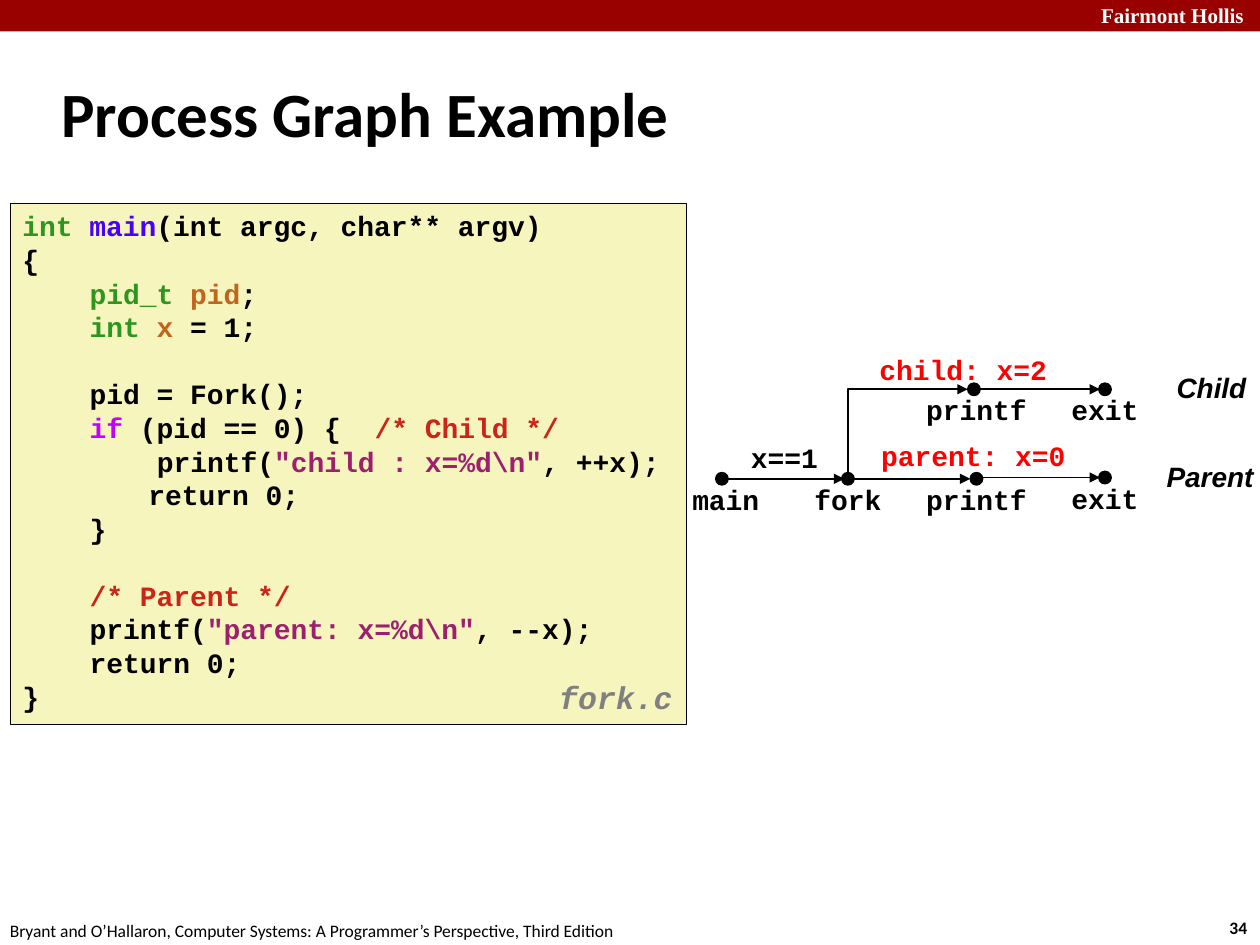
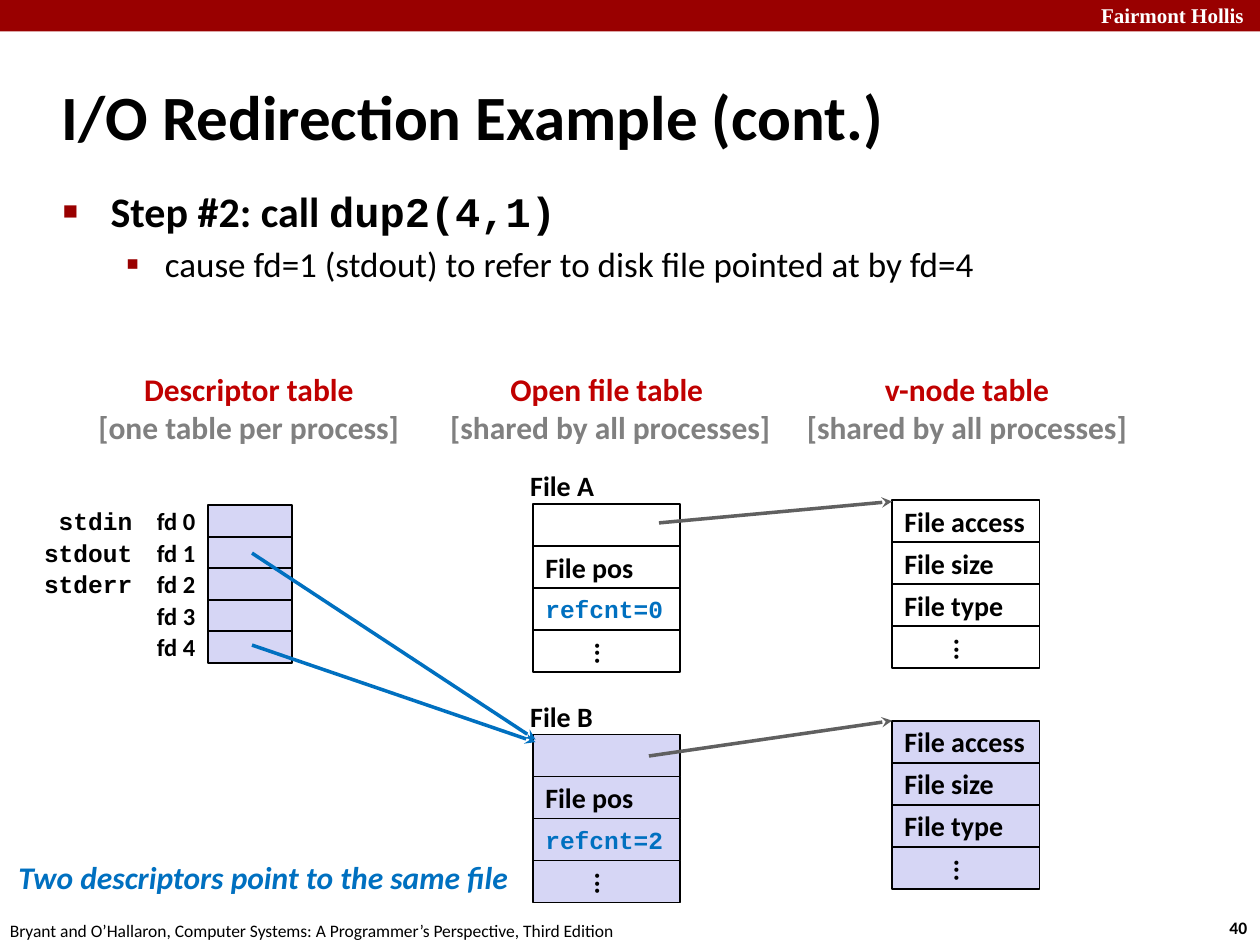
from lxml import etree
from pptx import Presentation, util as u
from pptx.dml.color import RGBColor
from pptx.enum import shapes, text
from pptx.oxml import ns

CELL = u.Inches(1)
COLUMNS, ROWS = 10, 7.5

BLACK = RGBColor(0, 0, 0)
WHITE = RGBColor(255, 255, 255)
BAND_RED = RGBColor(0x99, 0, 0)
HEADING_RED = RGBColor(0xC0, 0, 0)
OUTPUT_RED = RGBColor(0xFF, 0, 0)
GRAY = RGBColor(0x80, 0x80, 0x80)
POINTER_GRAY = RGBColor(0x60, 0x60, 0x60)
BLUE = RGBColor(0, 0x70, 0xC0)
LAVENDER = RGBColor(0xD6, 0xD6, 0xF5)
CODE_YELLOW = RGBColor(0xF6, 0xF5, 0xBD)
TYPE_GREEN = RGBColor(0x2D, 0x96, 0x1E)
FUNCTION_BLUE = RGBColor(0x4A, 0, 0xFF)
VARIABLE_ORANGE = RGBColor(0xC1, 0x65, 0x1C)
KEYWORD_PURPLE = RGBColor(0xC2, 0, 0xFF)
COMMENT_RED = RGBColor(0xCB, 0x24, 0x18)
STRING_PLUM = RGBColor(0x9D, 0x20, 0x6F)

SANS, MONO, SERIF, ARIAL = "Calibri", "Courier New", "Times New Roman", "Arial"
LEFT, CENTER, RIGHT = text.PP_ALIGN.LEFT, text.PP_ALIGN.CENTER, text.PP_ALIGN.RIGHT
TOP, MIDDLE = text.MSO_ANCHOR.TOP, text.MSO_ANCHOR.MIDDLE

CODE_PITCH, CODE_CHAR = 19.2, 9.6
CODE = [
    (0, 0, [("int ", TYPE_GREEN), ("main", FUNCTION_BLUE), ("(int argc, char** argv)", BLACK)]),
    (0, 0, "{"),
    (4, 0, [("pid_t ", TYPE_GREEN), ("pid", VARIABLE_ORANGE), (";", BLACK)]),
    (4, 0, [("int ", TYPE_GREEN), ("x", VARIABLE_ORANGE), (" = 1;", BLACK)]),
    (4, 1, "pid = Fork();"),
    (4, 0, [("if", KEYWORD_PURPLE), (" (pid == 0) {  ", BLACK), ("/* Child */", COMMENT_RED)]),
    (8, 0, [("printf(", BLACK), ('"child : x=%d\\n"', STRING_PLUM), (", ++x);", BLACK)]),
    (7.5, 0, "return 0;"),
    (4, 0, "}"),
    (4, 1, [("/* Parent */", COMMENT_RED)]),
    (4, 0, [("printf(", BLACK), ('"parent: x=%d\\n"', STRING_PLUM), (", --x);", BLACK)]),
    (4, 0, "return 0;"),
    (0, 0, "}"),
]


def grid(*cells):
    """Turn grid columns or rows into lengths."""
    return [u.Emu(round(cell * CELL)) for cell in cells]


def write(shape, lines, size, font=SANS, color=BLACK, bold=True, italic=False,
          align=LEFT, anchor=TOP, wrap=False):
    """Fill a shape with lines, each a string or a list of coloured runs."""
    frame = shape.text_frame
    frame.word_wrap = wrap
    frame.vertical_anchor = anchor
    for index, line in enumerate(lines):
        paragraph = frame.paragraphs[0] if index == 0 else frame.add_paragraph()
        paragraph.alignment = align
        style = paragraph.font
        style.name, style.size = font, u.Pt(size)
        style.bold, style.italic = bold, italic
        style.color.rgb = color
        for words, tint in [(line, color)] if isinstance(line, str) else line:
            run = paragraph.add_run()
            run.text = words
            if tint != color:
                run.font.color.rgb = tint
    return frame


def label(slide, at, lines, size, **style):
    """Place free text in a grid area."""
    area = slide.shapes.add_textbox(*grid(*at))
    return write(area, lines, size, **style)


def block(slide, at, fill, border=None, kind=shapes.MSO_SHAPE.RECTANGLE):
    """Draw a flat filled shape with an optional black border in points."""
    shape = slide.shapes.add_shape(kind, *grid(*at))
    shape.shadow.inherit = False
    shape.fill.solid()
    shape.fill.fore_color.rgb = fill
    if border:
        shape.line.color.rgb = BLACK
        shape.line.width = u.Pt(border)
    else:
        shape.line.fill.background()
    return shape


def arrow(slide, start, end, color=BLACK, width=1, head="triangle",
          kind=shapes.MSO_CONNECTOR.STRAIGHT):
    """Connect two grid points with an arrow."""
    connector = slide.shapes.add_connector(kind, *grid(*start, *end))
    connector.line.color.rgb = color
    connector.line.width = u.Pt(width)
    line = connector.line._get_or_add_ln()
    etree.SubElement(line, ns.qn("a:tailEnd"), type=head)
    etree.SubElement(connector._element.spPr, ns.qn("a:effectLst"))
    return connector


def up_then_right(slide, start, end):
    """Draw an arrow that rises from start and then turns right to end."""
    (x1, y1), (x2, y2) = start, end
    middle_x, middle_y = (x1 + x2) / 2, (y1 + y2) / 2
    half_rise, half_run = (y1 - y2) / 2, (x2 - x1) / 2
    elbow = arrow(slide, (middle_x + half_rise, middle_y + half_run),
                  (middle_x - half_rise, middle_y - half_run),
                  kind=shapes.MSO_CONNECTOR.ELBOW)
    properties = elbow._element.spPr
    properties.find(ns.qn("a:xfrm")).set("rot", "5400000")
    properties.find(ns.qn("a:prstGeom")).set("prst", "bentConnector2")


def base_slide(deck, title, number, title_top):
    """Add a slide with the shared band, title and footer."""
    slide = deck.slides.add_slide(deck.slide_layouts[6])
    block(slide, (0, 0, COLUMNS, 0.25), BAND_RED)
    label(slide, (8.64, -0.03, 1.43, 0.3), ["Fairmont Hollis"], 12, font=SERIF,
          color=WHITE, wrap=True)
    label(slide, (9.66, 7.23, 0.37, 0.27), [number], 10)
    label(slide, (-0.02, 7.25, 5.08, 0.27),
          ["Bryant and O’Hallaron, Computer Systems: A Programmer’s Perspective, Third Edition"],
          10, bold=False)
    label(slide, (0.39, title_top, 8.3, 0.83), [title], 36, anchor=MIDDLE, wrap=True)
    return slide


def code_listing(slide):
    """Draw the program listing with its file name."""
    listing = block(slide, (0.08, 1.61, 5.37, 4.14), CODE_YELLOW, 0.25)
    frame = write(listing, [line for _, _, line in CODE], 16, font=MONO, wrap=True)
    for paragraph, (indent, gap, _) in zip(frame.paragraphs, CODE):
        paragraph.line_spacing = u.Pt(CODE_PITCH)
        paragraph.space_before = u.Pt(gap * CODE_PITCH)
        paragraph._p.get_or_add_pPr().set("marL", str(u.Pt(indent * CODE_CHAR)))
    file_name = label(slide, (4.34, 5.36, 1.17, 0.39), ["fork.c"], 18, font=MONO,
                      color=GRAY, italic=True)
    file_name.paragraphs[0].line_spacing = 0.94


def event(slide, x, y, name, nudge=0):
    """Draw a process graph event as a dot with its call below."""
    block(slide, (x - 0.05, y - 0.05, 0.1, 0.1), BLACK, 0.75, shapes.MSO_SHAPE.OVAL)
    label(slide, (x + nudge - 0.52, y - 0.02, 1.04, 0.37), [name], 16, font=MONO,
          align=CENTER)


def process_graph(slide):
    """Draw the parent and child time lines."""
    child_y, parent_y, exit_y = 3.09, 3.8, 3.79
    for x, y, name, nudge in [
        (5.73, parent_y, "main", 0.03), (6.73, parent_y, "fork", 0),
        (7.75, parent_y, "printf", 0), (8.77, exit_y, "exit", 0),
        (7.73, child_y, "printf", 0.02), (8.77, child_y, "exit", 0),
    ]:
        event(slide, x, y, name, nudge)
    for x1, x2, y in [(5.78, 6.7, parent_y), (6.78, 7.7, parent_y),
                      (7.77, 8.73, exit_y), (7.77, 8.73, child_y)]:
        arrow(slide, (x1, y), (x2, y))
    up_then_right(slide, (6.73, exit_y), (7.68, child_y))
    for left, top, width, state, color in [
        (6.64, 2.75, 2.01, "child: x=2", OUTPUT_RED),
        (6.72, 3.43, 2.01, "parent: x=0", OUTPUT_RED),
        (5.79, 3.45, 0.87, "x==1", BLACK),
    ]:
        label(slide, (left, top, width, 0.37), [state], 16, font=MONO, color=color,
              align=CENTER)
    for left, top, width, process in [(9.24, 2.89, 0.77, "Child"), (9.16, 3.6, 0.92, "Parent")]:
        label(slide, (left, top, width, 0.37), [process], 16, font=ARIAL, italic=True)


def bullet(paragraph, mark, percent, left, hang, before):
    """Give a paragraph a hanging red bullet."""
    paragraph.space_before = u.Pt(before)
    properties = paragraph._p.get_or_add_pPr()
    properties.set("marL", str(u.Inches(left)))
    properties.set("indent", str(-u.Inches(hang)))
    color = etree.Element(ns.qn("a:buClr"))
    etree.SubElement(color, ns.qn("a:srgbClr"), val=str(BAND_RED))
    size = etree.Element(ns.qn("a:buSzPct"), val=str(percent * 1000))
    face = etree.Element(ns.qn("a:buFont"), typeface=ARIAL)
    character = etree.Element(ns.qn("a:buChar"), char=mark)
    defaults = properties.find(ns.qn("a:defRPr"))
    for part in (color, size, face, character):
        defaults.addprevious(part)


def step_text(slide):
    """Write the step and its explanation as bullets."""
    frame = label(slide, (0.4, 1.42, 9.43, 1.08),
                  [[("Step #2: call ", BLACK), ("dup2(4,1)", BLACK)],
                   "cause fd=1 (stdout) to refer to disk file pointed at by fd=4"],
                  24, wrap=True)
    step, effect = frame.paragraphs
    step.runs[1].font.name = MONO
    effect.font.size, effect.font.bold = u.Pt(20), False
    bullet(step, "■", 60, 0.38, 0.38, 4.8)
    bullet(effect, "▪", 110, 0.81, 0.31, 4)


def record(slide, left, top, fields, fill, width=1.17, height=1 / 3):
    """Stack the fields of a kernel record."""
    for row, field in enumerate(fields):
        cell = block(slide, (left, top + row * height, width, height), fill, 1)
        if not field:
            continue
        if field.startswith("refcnt"):
            write(cell, [field], 14, font=MONO, color=BLUE, anchor=MIDDLE)
        else:
            frame = write(cell, [field], 16, anchor=MIDDLE)
            if field == "...":
                frame._txBody.bodyPr.set("vert", "eaVert")


def descriptor_table(slide):
    """Draw the descriptors with their numbers and stream names."""
    top, pitch = 4.01, 0.25
    record(slide, 1.65, top, [""] * 5, LAVENDER, 0.67, pitch)
    for number in range(5):
        label(slide, (0.98, top + number * pitch, 0.67, pitch), [f"fd {number}"], 14,
              align=RIGHT, anchor=MIDDLE)
    for row, stream in enumerate(["stdin", "stdout", "stderr"]):
        label(slide, (0.25, top - 0.04 + row * pitch, 0.9, 0.33), [stream], 14, font=MONO,
              align=RIGHT, anchor=MIDDLE)


def file_tables(slide):
    """Draw the open file and v-node records of both files."""
    for name, file_top, node_top, count, fill in [("File A", 4, 3.97, 0, WHITE),
                                                 ("File B", 5.83, 5.72, 2, LAVENDER)]:
        record(slide, 4.23, file_top, ["", "File pos", f"refcnt={count}", "..."], fill)
        record(slide, 7.08, node_top, ["File access", "File size", "File type", "..."], fill)
        label(slide, (4.11, file_top - 0.33, 0.71, 0.37), [name], 16, anchor=MIDDLE)


def main():
    """Build both slides and save them."""
    deck = Presentation()
    deck.slide_width, deck.slide_height = grid(COLUMNS, ROWS)

    fork = base_slide(deck, "Process Graph Example", "34", 0.48)
    code_listing(fork)
    process_graph(fork)

    redirection = base_slide(deck, "I/O Redirection Example (cont.)", "40", 0.5)
    step_text(redirection)
    for left, width, table, scope in [
        (0.67, 2.61, "Descriptor table", "[one table per process]"),
        (3.46, 2.77, "Open file table ", "[shared by all processes]"),
        (6.29, 2.77, "v-node table", "[shared by all processes]"),
    ]:
        label(redirection, (left, 2.88, width, 0.71), [table, [(scope, GRAY)]], 18,
              color=HEADING_RED, align=CENTER, anchor=MIDDLE)
    descriptor_table(redirection)
    file_tables(redirection)
    for start, end, color in [
        ((2, 4.39), (4.25, 5.87), BLUE), ((2, 5.12), (4.25, 5.89), BLUE),
        ((5.23, 4.15), (7.08, 3.98), POINTER_GRAY), ((5.15, 6), (7.08, 5.72), POINTER_GRAY),
    ]:
        arrow(redirection, start, end, color, 2, "stealth")
    label(redirection, (0.02, 6.76, 4.14, 0.4), ["Two descriptors point to the same file"], 18,
          color=BLUE, italic=True, align=CENTER, anchor=MIDDLE)
    deck.save("out.pptx")


if __name__ == "__main__":
    main()
